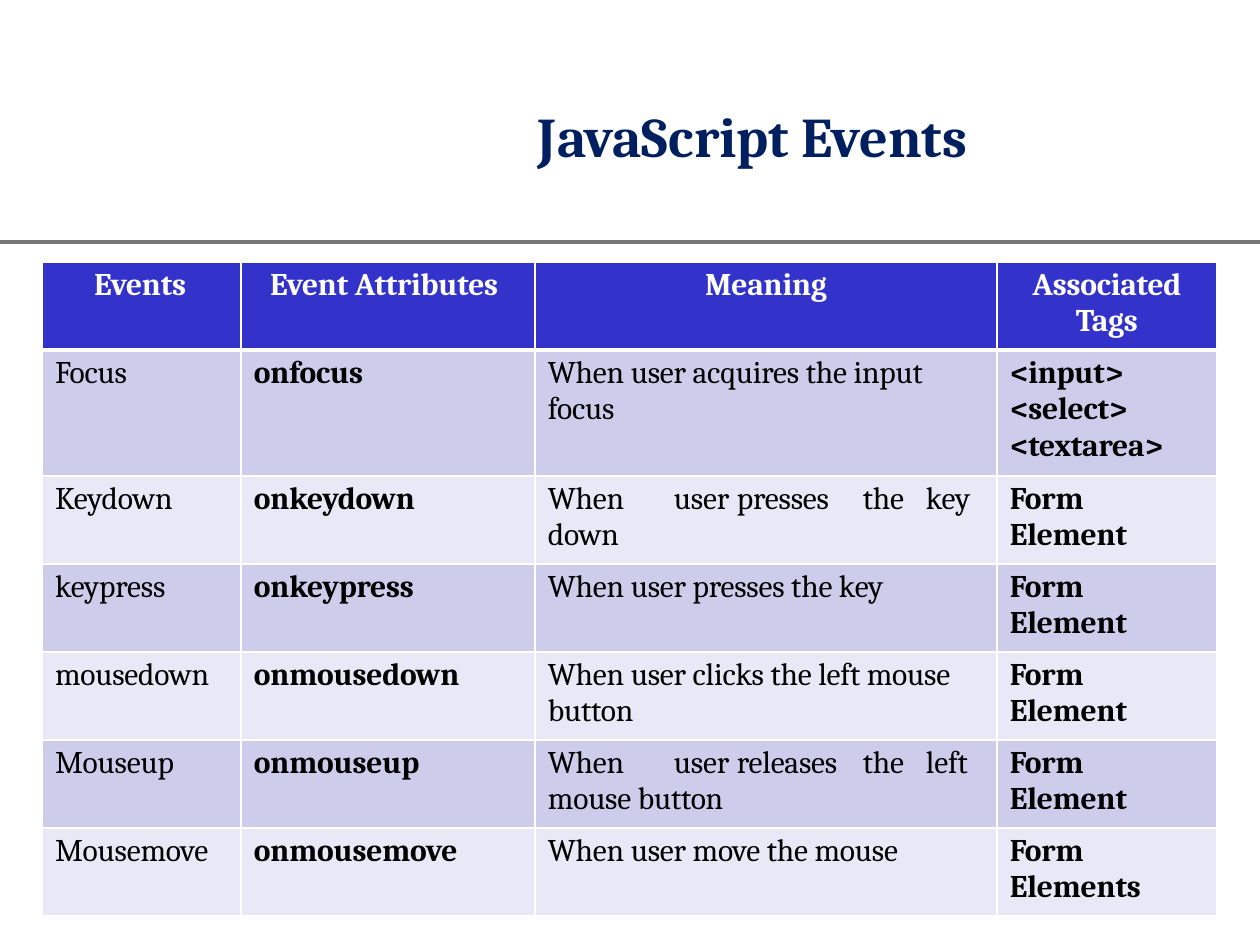
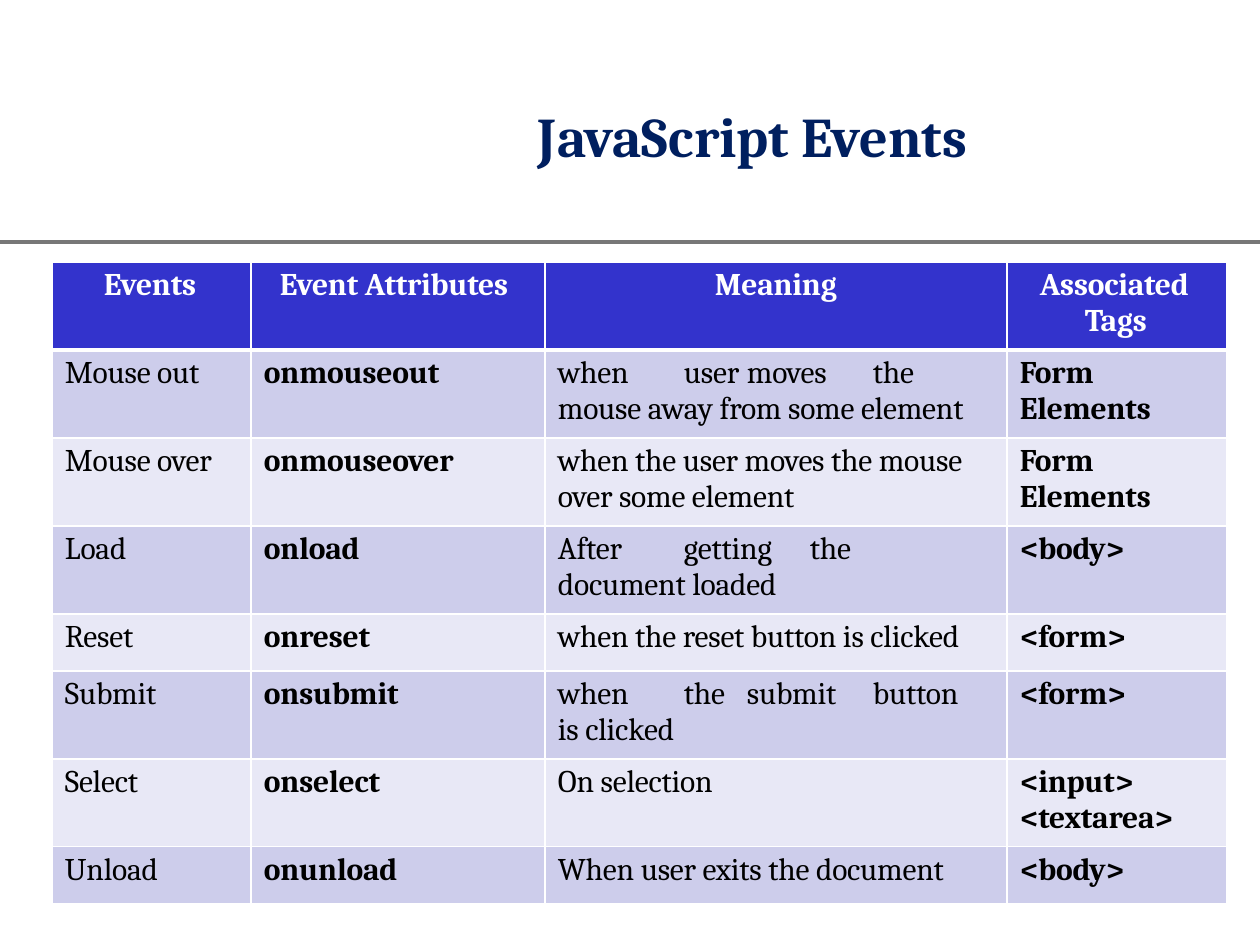
"""Build two slides of JavaScript event tables."""
from lxml import etree
from pptx import Presentation
from pptx.dml.color import RGBColor
from pptx.enum.shapes import MSO_CONNECTOR
from pptx.enum.text import MSO_ANCHOR, MSO_AUTO_SIZE, PP_ALIGN
from pptx.oxml.ns import qn
from pptx.util import Emu, Pt

STRAIGHT = MSO_CONNECTOR.STRAIGHT
TOP = MSO_ANCHOR.TOP
NO_AUTOFIT = MSO_AUTO_SIZE.NONE
LEFT, CENTER = PP_ALIGN.LEFT, PP_ALIGN.CENTER

NAVY = RGBColor(0x00, 0x1F, 0x5F)
GRAY = RGBColor(0x77, 0x77, 0x77)
WHITE = RGBColor(0xFF, 0xFF, 0xFF)
BLACK = RGBColor(0x00, 0x00, 0x00)
HEADER_BLUE = RGBColor(0x33, 0x33, 0xCC)
BANDS = (RGBColor(0xCD, 0xCD, 0xEB), RGBColor(0xE8, 0xE8, 0xF6))

FONT = "Cambria"
PX_PER_INCH = 126
SLIDE_WIDTH, SLIDE_HEIGHT = 1260, 945
TITLE_ONLY = 5
COLUMN_WIDTHS = (199, 294, 462, 220)
BOLD_COLUMNS = (1, 3)
TABLE_TOP = 262
ROW, SHORT_ROW, TALL_ROW = 88, 57, 126

HEADERS = ("Events", "Event Attributes", "Meaning")
HEADER_INDENTS = ((52, 0), (29, 0), (0, 0))
FORM_ELEMENT = "Form\vElement"
FORM_ELEMENTS = "Form\vElements"

KEY_AND_MOUSE_EVENTS = [
    ("Focus", "onfocus", "When user acquires the input\vfocus", "<input>\n<select>\n<textarea>"),
    ("Keydown", "onkeydown", "When\tuser\tpresses\tthe\tkey\ndown", "Form\nElement"),
    ("keypress", "onkeypress", "When user presses the key", FORM_ELEMENT),
    ("mousedown", "onmousedown", "When user clicks the left mouse\vbutton", FORM_ELEMENT),
    ("Mouseup", "onmouseup", "When\tuser\treleases\tthe\tleft\nmouse button", "Form\nElement"),
    ("Mousemove", "onmousemove", "When user move the mouse", FORM_ELEMENTS),
]
PAGE_AND_FORM_EVENTS = [
    ("Mouse out", "onmouseout", "when\tuser\tmoves\tthe\vmouse away from some element",
     FORM_ELEMENTS),
    ("Mouse over", "onmouseover", "when the user moves the mouse\vover some element",
     FORM_ELEMENTS),
    ("Load", "onload", "After\tgetting\tthe\vdocument loaded", "<body>"),
    ("Reset", "onreset", "when the reset button is clicked", "<form>"),
    ("Submit", "onsubmit", "when\tthe\tsubmit\tbutton\vis clicked", "<form>"),
    ("Select", "onselect", "On selection", "<input>\n<textarea>"),
    ("Unload", "onunload", "When user exits the document", "<body>"),
]
TAB_STOPS = {
    "onkeydown": (118, 204, 333, 402),
    "onmouseup": (117, 202, 336, 406),
    "onmouseout": (108, 188, 296),
    "onload": (112, 239),
    "onsubmit": (116, 186, 309),
}


def px(length):
    """Turn px into EMU."""
    return Emu(round(length * 914400 / PX_PER_INCH))


class EventDeck:
    """Hold the shared style and the current slide."""

    def __init__(self):
        """Start an empty presentation of the right size."""
        self.presentation = Presentation()
        self.presentation.slide_width = px(SLIDE_WIDTH)
        self.presentation.slide_height = px(SLIDE_HEIGHT)
        self.slide = None

    def add_slide(self, title):
        """Add a slide with its rule and title."""
        layout = self.presentation.slide_layouts[TITLE_ONLY]
        self.slide = self.presentation.slides.add_slide(layout)
        self.add_rule(242)
        self.add_title(title)

    def add_rule(self, top):
        """Draw a line across the slide."""
        rule = self.slide.shapes.add_connector(STRAIGHT, 0, px(top), px(SLIDE_WIDTH), px(top))
        rule.line.color.rgb = GRAY
        rule.line.width = Pt(2)
        etree.SubElement(rule._element.spPr, qn("a:effectLst"))

    def add_title(self, text):
        """Place and format the title."""
        title = self.slide.shapes.title
        title.left, title.top, title.width, title.height = px(537), px(100), px(450), px(71)
        frame = title.text_frame
        frame.text = text
        frame.auto_size = NO_AUTOFIT
        frame.word_wrap = True
        frame.vertical_anchor = TOP
        frame.margin_left = frame.margin_right = frame.margin_bottom = 0
        frame.margin_top = px(1)
        paragraph = frame.paragraphs[0]
        paragraph.alignment = LEFT
        paragraph.space_before = Pt(1)
        self.set_indent(paragraph, 1)
        self.set_font(paragraph, 32, NAVY, True)

    def set_font(self, paragraph, size, color, bold):
        """Set the font of a paragraph."""
        font = paragraph.font
        font.name, font.size, font.bold = FONT, Pt(size), bold
        font.color.rgb = color

    def set_indent(self, paragraph, margin, first_line=0):
        """Set the left margin and first-line indent."""
        properties = paragraph._p.get_or_add_pPr()
        properties.set("marL", str(px(margin)))
        properties.set("indent", str(px(first_line)))

    def set_tabs(self, paragraph, stops):
        """Add left tab stops."""
        tab_list = etree.SubElement(paragraph._p.get_or_add_pPr(), qn("a:tabLst"))
        for stop in stops:
            etree.SubElement(tab_list, qn("a:tab"), pos=str(px(stop)), algn="l")

    def set_borders(self, cell, row):
        """Draw white cell borders, thick below the header."""
        properties = cell._tc.get_or_add_tcPr()
        widths = {"L": 1, "R": 1, "T": 3 if row == 1 else 1, "B": 3 if row == 0 else 1}
        for side, width in widths.items():
            border = etree.SubElement(properties, qn(f"a:ln{side}"), w=str(Pt(width)))
            fill = etree.SubElement(border, qn("a:solidFill"))
            etree.SubElement(fill, qn("a:srgbClr"), val=str(WHITE))

    def fill_cell(self, cell, row, text, color, bold, indent=(13, 0), align=LEFT, stops=()):
        """Write and format one cell."""
        self.set_borders(cell, row)
        cell.fill.solid()
        cell.fill.fore_color.rgb = BANDS[(row - 1) % 2] if row else HEADER_BLUE
        cell.margin_left = cell.margin_right = cell.margin_bottom = 0
        cell.margin_top = px(5)
        cell.vertical_anchor = TOP
        cell.text_frame.text = text
        for index, paragraph in enumerate(cell.text_frame.paragraphs):
            paragraph.alignment = align
            paragraph.space_before = Pt(0 if index else 3.1)
            self.set_indent(paragraph, *indent)
            if stops and index == 0:
                self.set_tabs(paragraph, stops)
            self.set_font(paragraph, 18, color, bold)
            paragraph._p.pPr.find(qn("a:defRPr")).set("spc", "-10")

    def add_event_table(self, left, events, heights, tags_header, tags_indent, tags_align):
        """Add a table with a header row and banded events."""
        frame = self.slide.shapes.add_table(
            len(events) + 1, len(COLUMN_WIDTHS), px(left), px(TABLE_TOP),
            px(sum(COLUMN_WIDTHS)), px(sum(heights)))
        table = frame.table
        for column, width in zip(table.columns, COLUMN_WIDTHS):
            column.width = px(width)
        for table_row, height in zip(table.rows, heights):
            table_row.height = px(height)
        headers = zip(HEADERS + (tags_header,), HEADER_INDENTS + (tags_indent,),
                      (LEFT, LEFT, CENTER, tags_align))
        for column, (text, indent, align) in enumerate(headers):
            self.fill_cell(table.cell(0, column), 0, text, WHITE, True, indent, align)
        for row, event in enumerate(events, 1):
            for column, text in enumerate(event):
                stops = TAB_STOPS.get(event[1], ()) if column == 2 else ()
                self.fill_cell(table.cell(row, column), row, text, BLACK,
                               column in BOLD_COLUMNS, stops=stops)


def main():
    """Build and save the slides."""
    deck = EventDeck()
    deck.add_slide("JavaScript Events")
    deck.add_event_table(42, KEY_AND_MOUSE_EVENTS, [ROW, TALL_ROW] + [ROW] * 5,
                         "Associated\nTags", (0, 0), CENTER)
    deck.add_slide("JavaScript Events")
    deck.add_event_table(52, PAGE_AND_FORM_EVENTS,
                         [ROW] * 4 + [SHORT_ROW] + [ROW] * 2 + [SHORT_ROW],
                         "Associated Tags", (78, -45), LEFT)
    deck.presentation.save("out.pptx")


if __name__ == "__main__":
    main()
